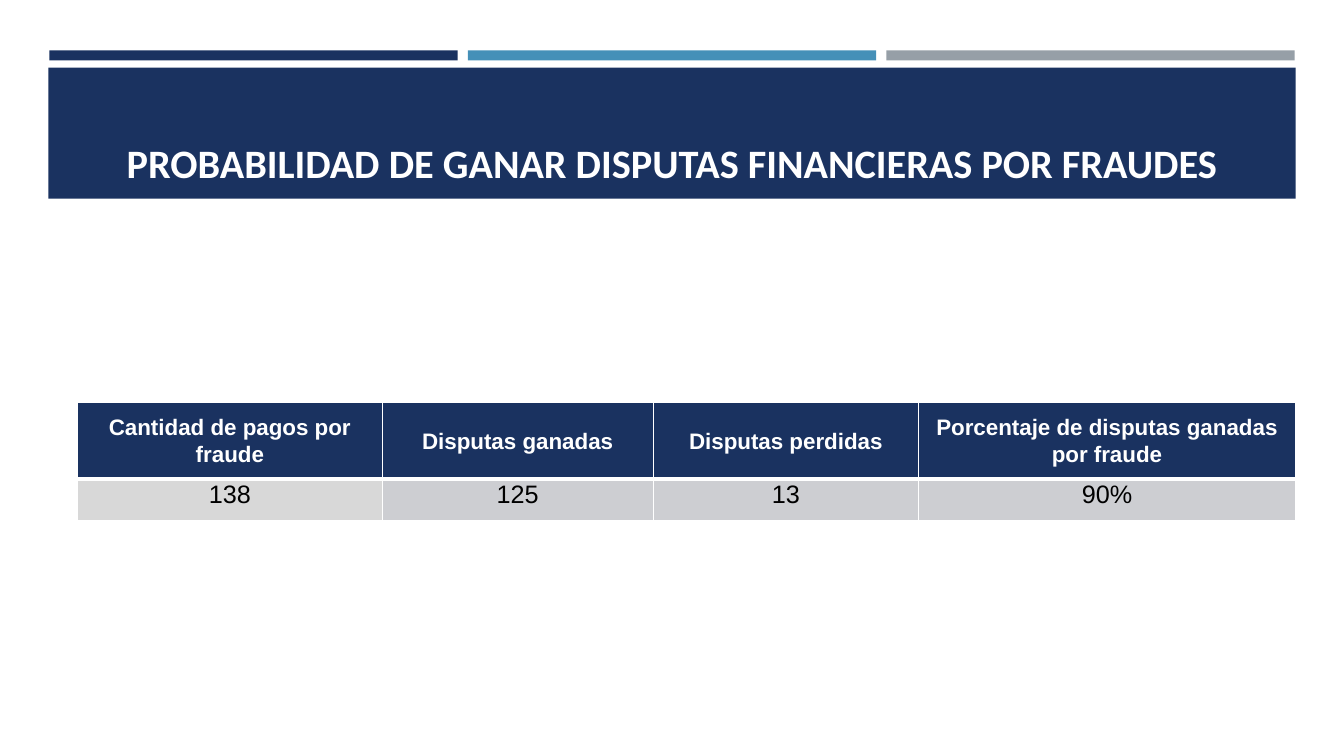
"""Build the slide on the odds of winning fraud disputes."""
from lxml.etree import SubElement
from pptx import Presentation
from pptx.dml.color import RGBColor
from pptx.enum.shapes import MSO_SHAPE
from pptx.enum.text import MSO_ANCHOR, PP_ALIGN
from pptx.oxml.ns import qn
from pptx.util import Inches, Pt

NAVY = RGBColor(0x1A, 0x32, 0x60)
BLUE = RGBColor(0x45, 0x90, 0xB8)
GRAY = RGBColor(0x96, 0x9F, 0xA7)
SILVER = RGBColor(0xD8, 0xD8, 0xD8)
MIST = RGBColor(0xCD, 0xCE, 0xD2)
WHITE = RGBColor(0xFF, 0xFF, 0xFF)
BLACK = RGBColor(0, 0, 0)

TITLE = "PROBABILIDAD DE GANAR DISPUTAS FINANCIERAS POR FRAUDES"
TABLE = [
    ["Cantidad de pagos por fraude", "Disputas ganadas", "Disputas perdidas",
     "Porcentaje de disputas ganadas por fraude"],
    ["138", "125", "13", "90%"],
]
FILLS = [[NAVY] * 4, [SILVER, MIST, MIST, MIST]]
COLS = [3.02, 2.69, 2.63, 3.74]
ROWS = [0.76, 0.41]
STRIPES = [NAVY, BLUE, GRAY]
LEFT, STRIPE_W, GAP = 0.49, 4.05, 0.1


def add_text(tf, text, font="Arial", size=16, color=WHITE, bold=True, spacing=None, after=None):
    p = tf.paragraphs[0]
    p.alignment = PP_ALIGN.CENTER
    p.line_spacing = spacing
    p.space_after = after
    r = p.add_run()
    r.text = text
    r.font.name, r.font.size, r.font.bold = font, Pt(size), bold
    r.font.color.rgb = color


def add_rect(s, box, color):
    sp = s.shapes.add_shape(MSO_SHAPE.RECTANGLE, *map(Inches, box))
    sp.shadow.inherit = False
    sp.fill.solid()
    sp.fill.fore_color.rgb = color
    sp.line.fill.background()


def add_borders(cell, widths):
    tc_pr = cell._tc.get_or_add_tcPr()
    for i, (side, width) in enumerate(widths.items()):
        ln = SubElement(tc_pr, qn(f"a:ln{side}"), w=str(Pt(width)))
        SubElement(SubElement(ln, qn("a:solidFill")), qn("a:srgbClr"), val=str(WHITE))
        tc_pr.insert(i, ln)


def add_table(s):
    frame = s.shapes.add_table(len(ROWS), len(COLS), Inches(0.77), Inches(3.99),
                               Inches(sum(COLS)), Inches(sum(ROWS)))
    table = frame.table
    for col, width in zip(table.columns, COLS):
        col.width = Inches(width)
    for i, (row, height) in enumerate(zip(table.rows, ROWS)):
        row.height = Inches(height)
        header = i == 0
        for cell, text, fill in zip(row.cells, TABLE[i], FILLS[i]):
            cell.fill.solid()
            cell.fill.fore_color.rgb = fill
            cell.margin_left = cell.margin_right = Inches(0.07)
            cell.margin_top = cell.margin_bottom = 0
            cell.vertical_anchor = MSO_ANCHOR.MIDDLE if header else MSO_ANCHOR.TOP
            add_text(cell.text_frame, text, size=16 if header else 18,
                     color=WHITE if header else BLACK, bold=header, spacing=1.07, after=Pt(8))
            add_borders(cell, {"L": 1, "R": 1, "T": 1 if header else 3, "B": 3 if header else 1})


def main():
    prs = Presentation()
    prs.slide_width, prs.slide_height = Inches(13.33), Inches(7.5)
    s = prs.slides.add_slide(prs.slide_layouts[6])
    for i, color in enumerate(STRIPES):
        add_rect(s, (LEFT + i * (STRIPE_W + GAP), 0.5, STRIPE_W, 0.1), color)
    add_rect(s, (0.48, 0.67, 12.37, 1.3), NAVY)
    tf = s.shapes.add_textbox(*map(Inches, (0.64, 0.77, 12.06, 1.13))).text_frame
    tf.word_wrap = True
    tf.vertical_anchor = MSO_ANCHOR.BOTTOM
    add_text(tf, TITLE, font="Calibri", size=28.8)
    add_table(s)
    prs.save("out.pptx")


if __name__ == "__main__":
    main()
